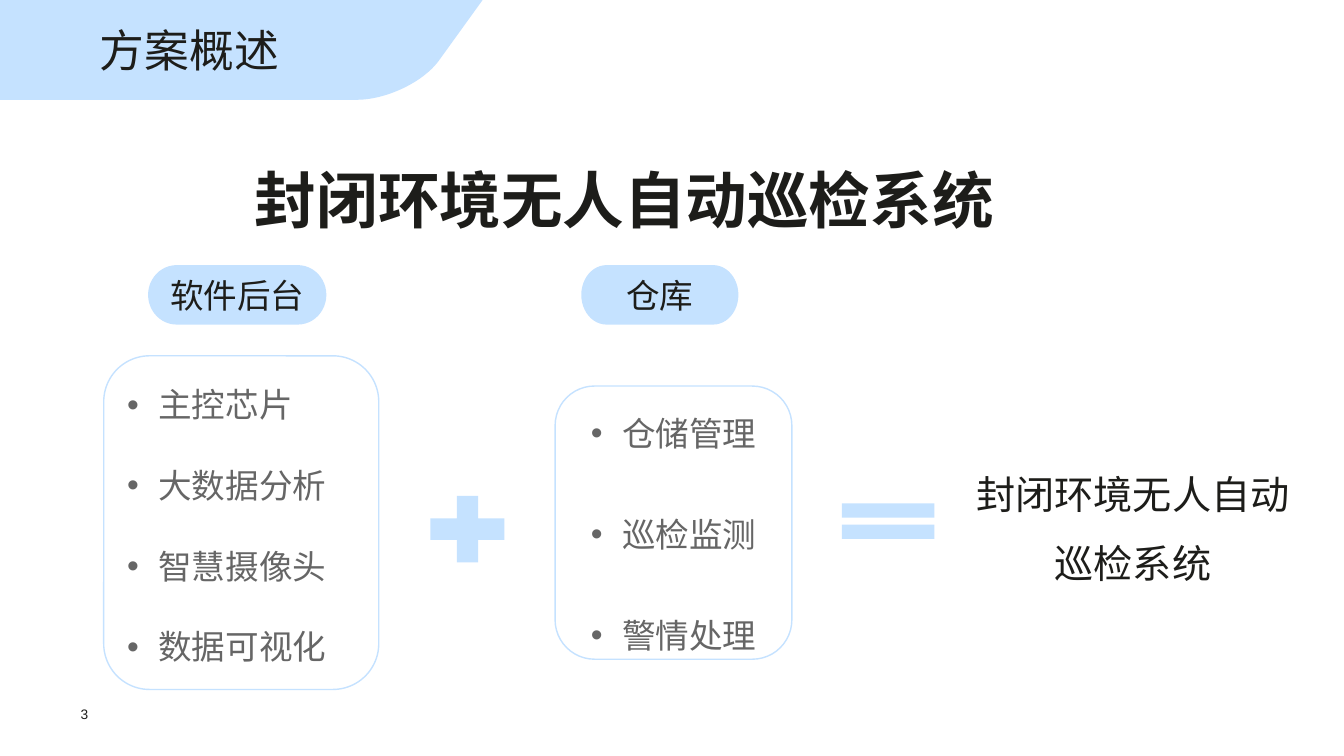
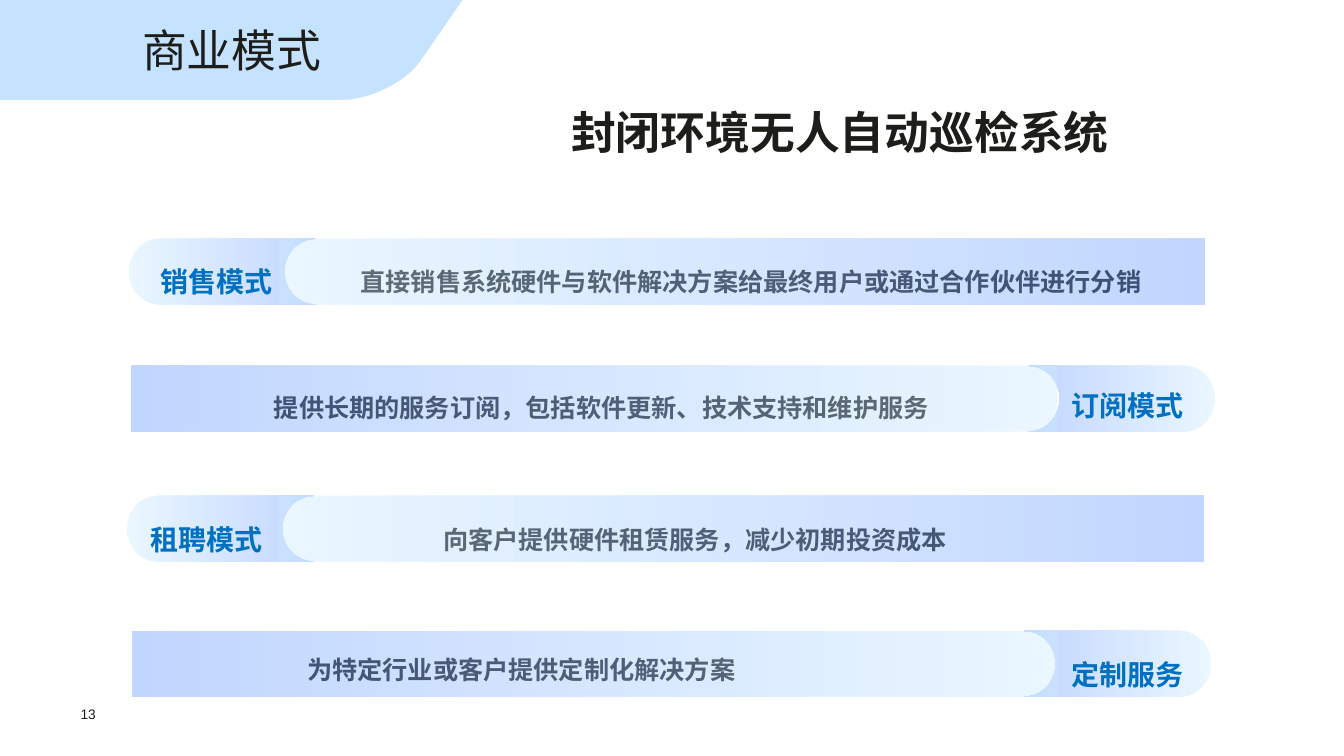
"""Builds two slides on an unmanned inspection system."""
from dataclasses import dataclass
from typing import NamedTuple

from lxml.etree import SubElement
from pptx import Presentation
from pptx.dml.color import RGBColor as Rgb
from pptx.enum.shapes import MSO_SHAPE as Preset
from pptx.enum.text import MSO_ANCHOR as Anchor, PP_ALIGN as Align
from pptx.oxml.ns import qn
from pptx.shapes.autoshape import Shape
from pptx.slide import Slide
from pptx.text.text import TextFrame, _Paragraph as Paragraph
from pptx.util import Emu, Pt

SCALE = 9144


def px(length: float) -> Emu:
    """Turns px into EMU."""
    return Emu(round(length * SCALE))


class Box(NamedTuple):
    """Position and size in px."""
    left: int
    top: int
    width: int
    height: int

    def emu(self) -> tuple[Emu, ...]:
        """Gives the four lengths in EMU."""
        return tuple(px(length) for length in self)


@dataclass(frozen=True)
class Style:
    """Look of a run of text and of its lines."""
    size: float
    color: str
    font: str = "Noto Sans CJK SC"
    bold: bool = False
    leading: float | None = None
    align: Align = Align.LEFT


@dataclass(frozen=True)
class Theme:
    """Colours and type styles of the deck."""
    sky: str = "C5E2FF"
    band: str = "99CCFF"
    band_alpha: int = 57
    fade: tuple[str, str] = ("CCECFF", "6699FF")
    fade_alpha: int = 40
    page: Style = Style(9.8, "1D1D1B", "Arial")
    heading: Style = Style(32, "1D1D1A", "Karla", leading=34.3)
    headline: Style = Style(44, "1D1D1A", bold=True, leading=84)
    subhead: Style = Style(32, "1D1D1A", bold=True, leading=34.4)
    caption: Style = Style(24, "1D1D1A", "Karla", align=Align.CENTER)
    item: Style = Style(24, "666666", leading=28.8)
    result: Style = Style(28, "1D1D1A", leading=49.4, align=Align.CENTER)
    label: Style = Style(20, "0070C0", bold=True, leading=34.4)
    detail: Style = Style(18, "1D1D1A", bold=True, leading=34.4)


@dataclass(frozen=True)
class Group:
    """A captioned panel with a bulleted list."""
    caption: str
    caption_box: Box
    panel: Box
    items: tuple[str, ...]
    inset: int
    gap: float


@dataclass(frozen=True)
class Offer:
    """A business model: its label tab and its description bar."""
    label: str
    detail: str
    top: int
    tab_left: int
    bar_left: int
    label_at: tuple[int, int]
    detail_at: tuple[int, int]
    detail_width: int
    turned: bool


THEME = Theme()

GROUPS = (
    Group("软件后台", Box(147, 263, 177, 59), Box(103, 353, 273, 331),
          ("主控芯片", "大数据分析", "智慧摄像头", "数据可视化"), 10, 28.8),
    Group("仓库", Box(577, 263, 156, 59), Box(551, 383, 235, 271),
          ("仓储管理", "巡检监测", "警情处理"), 24, 43.4),
)

OFFERS = (
    Offer("销售模式", "直接销售系统硬件与软件解决方案给最终用户或通过合作伙伴进行分销",
          237, 128, 277, (149, 243), (348, 241), 806, False),
    Offer("订阅模式", "提供长期的服务订阅，包括软件更新、技术支持和维护服务",
          363, 1021, 130, (1054, 366), (262, 366), 686, True),
    Offer("租聘模式", "向客户提供硬件租赁服务，减少初期投资成本",
          492, 126, 276, (140, 499), (430, 497), 533, False),
    Offer("定制服务", "为特定行业或客户提供定制化解决方案",
          626, 1017, 132, (1054, 633), (295, 626), 549, True),
)


def style_paragraph(paragraph: Paragraph, style: Style) -> None:
    """Applies a style to a paragraph and its runs."""
    paragraph.alignment = style.align
    if style.leading:
        paragraph.line_spacing = Pt(style.leading)
    for run in paragraph.runs:
        run.font.size = Pt(style.size)
        run.font.bold = style.bold
        run.font.name = style.font
        run.font.color.rgb = Rgb.from_string(style.color)
        east_asian = SubElement(run.font._element, qn("a:ea"))
        east_asian.set("typeface", style.font)


def set_insets(frame: TextFrame, across: int, down: int) -> None:
    """Sets the margins of a text frame in px."""
    frame.margin_left = frame.margin_right = px(across)
    frame.margin_top = frame.margin_bottom = px(down)


def add_text(slide: Slide, box: Box, text: str, style: Style,
             across: int = 10, down: int = 5) -> None:
    """Adds a wrapping text box of one paragraph."""
    frame = slide.shapes.add_textbox(*box.emu()).text_frame
    frame.word_wrap = True
    set_insets(frame, across, down)
    frame.text = text
    style_paragraph(frame.paragraphs[0], style)


def add_alpha(shape: Shape, percent: int) -> None:
    """Makes the fill colours of a shape translucent."""
    for color in shape.element.spPr.iter(qn("a:srgbClr")):
        SubElement(color, qn("a:alpha")).set("val", str(percent * 1000))


def add_preset(slide: Slide, preset: Preset, box: Box, fill: str | None) -> Shape:
    """Adds a preset shape without line or shadow."""
    shape = slide.shapes.add_shape(preset, *box.emu())
    shape.shadow.inherit = False
    shape.line.fill.background()
    if fill:
        shape.fill.solid()
        shape.fill.fore_color.rgb = Rgb.from_string(fill)
    else:
        shape.fill.background()
    return shape


def add_faded(slide: Slide, preset: Preset, box: Box, turned: bool) -> None:
    """Adds a shape with the translucent gradient, turned half round if asked."""
    shape = add_preset(slide, preset, box, None)
    shape.fill.gradient()
    shape.fill.gradient_angle = 0
    for stop, color in zip(shape.fill.gradient_stops, THEME.fade):
        stop.color.rgb = Rgb.from_string(color)
    add_alpha(shape, THEME.fade_alpha)
    shape.rotation = 180 if turned else 0


def add_header(slide: Slide, title: str, title_left: int, width: int, page: int) -> None:
    """Adds the corner band, the slide title and the page number."""
    curve = ((435, 61), (419, 82), (383, 99), (354, 99))
    weights = (1, 3, 3, 1)
    steps = 24
    outline = []
    for step in range(steps + 1):
        t = step / steps
        blend = [w * (1 - t) ** (3 - k) * t ** k for k, w in enumerate(weights)]
        outline.append(tuple(sum(b * point[axis] for b, point in zip(blend, curve))
                             for axis in (0, 1)))
    outline += [(0, 99), (0, 0)]
    builder = slide.shapes.build_freeform(px(width), 0)
    builder.add_line_segments([(px(x * width / 479), px(y)) for x, y in outline])
    band = builder.convert_to_shape()
    band.shadow.inherit = False
    band.line.fill.background()
    band.fill.solid()
    band.fill.fore_color.rgb = Rgb.from_string(THEME.band)
    add_alpha(band, THEME.band_alpha)
    add_text(slide, Box(title_left, 28, 249, 49), title, THEME.heading, 0, 0)
    add_text(slide, Box(80, 700, 55, 16), str(page), THEME.page, 0, 0)


def add_group(slide: Slide, group: Group) -> None:
    """Adds a caption pill and its list panel."""
    pill = add_preset(slide, Preset.FLOWCHART_TERMINATOR, group.caption_box, THEME.sky)
    set_insets(pill.text_frame, 0, 0)
    pill.text_frame.text = group.caption
    pill.text_frame.vertical_anchor = Anchor.MIDDLE
    style_paragraph(pill.text_frame.paragraphs[0], THEME.caption)

    panel = add_preset(slide, Preset.ROUNDED_RECTANGLE, group.panel, None)
    panel.line.color.rgb = Rgb.from_string(THEME.sky)
    panel.line.width = Pt(1)
    frame = panel.text_frame
    frame.word_wrap = True
    frame.vertical_anchor = Anchor.TOP
    set_insets(frame, 10, 15)
    frame.margin_left = px(group.inset)
    frame.text = "\n".join(group.items)
    for index, paragraph in enumerate(frame.paragraphs):
        properties = paragraph._p.get_or_add_pPr()
        properties.set("marL", str(px(31)))
        properties.set("indent", str(-px(31)))
        SubElement(properties, qn("a:buFont")).set("typeface", "Arial")
        SubElement(properties, qn("a:buChar")).set("char", "•")
        style_paragraph(paragraph, THEME.item)
        if index:
            paragraph.space_before = Pt(group.gap)


def build_overview(slide: Slide) -> None:
    """Draws the solution overview as a sum of two groups."""
    add_header(slide, "方案概述", 99, 479, 3)
    add_text(slide, Box(253, 117, 782, 80), "封闭环境无人自动巡检系统", THEME.headline, 0, 0)
    for group in GROUPS:
        add_group(slide, group)
    add_preset(slide, Preset.MATH_PLUS, Box(414, 480, 100, 90), THEME.sky)
    add_preset(slide, Preset.MATH_EQUAL, Box(819, 487, 125, 60), THEME.sky)
    add_text(slide, Box(944, 440, 361, 147), "封闭环境无人自动巡检系统", THEME.result)


def build_business(slide: Slide) -> None:
    """Draws the four business models."""
    add_header(slide, "商业模式", 141, 459, 13)
    add_text(slide, Box(557, 104, 614, 58), "封闭环境无人自动巡检系统", THEME.subhead)
    for offer in OFFERS:
        add_faded(slide, Preset.FLOWCHART_STORED_DATA,
                  Box(offer.tab_left, offer.top, 185, 65), offer.turned)
        add_text(slide, Box(*offer.label_at, 146, 53), offer.label, THEME.label)
        add_text(slide, Box(*offer.detail_at, offer.detail_width, 52),
                 offer.detail, THEME.detail)
        add_faded(slide, Preset.RECTANGLE,
                  Box(offer.bar_left, offer.top, 919, 65), offer.turned)


def main() -> None:
    """Builds and saves the deck."""
    deck = Presentation()
    deck.slide_width, deck.slide_height = px(1334), px(750)
    for build in (build_overview, build_business):
        build(deck.slides.add_slide(deck.slide_layouts[6]))
    deck.save("out.pptx")


if __name__ == "__main__":
    main()
